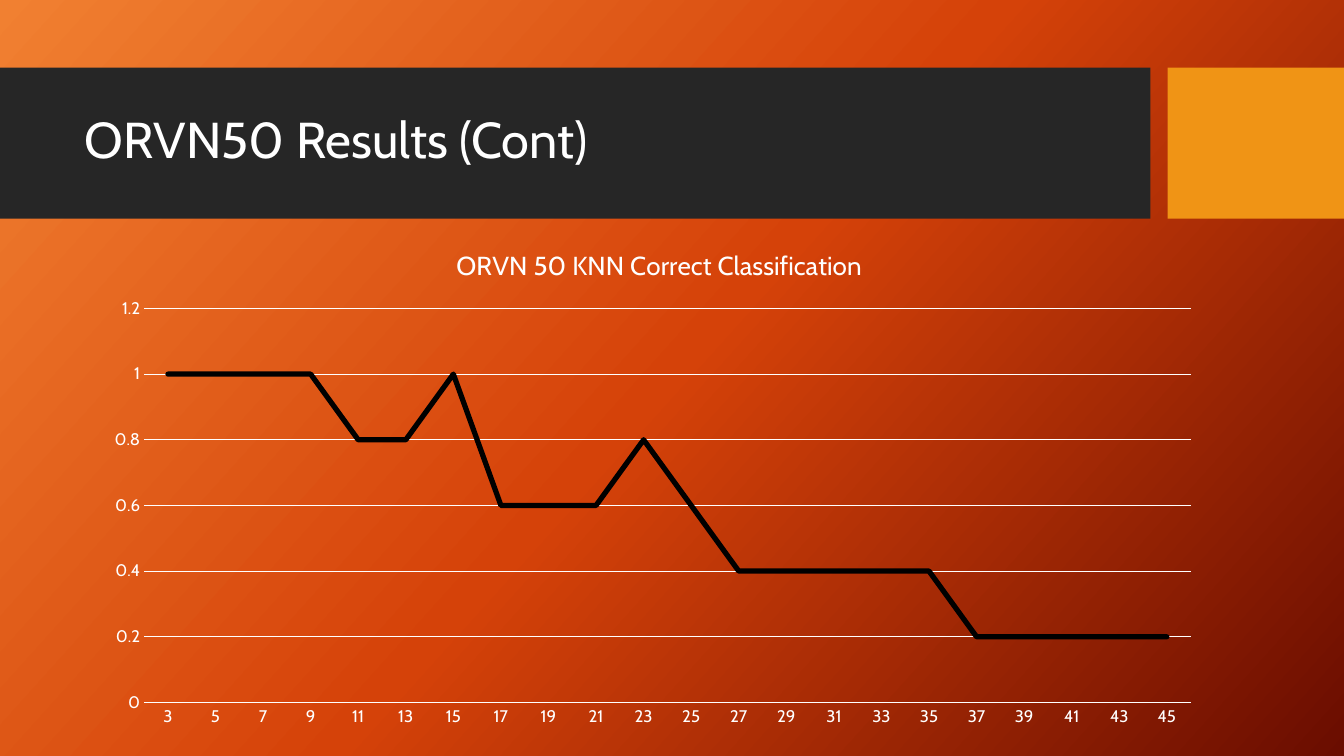
from copy import deepcopy

from lxml.etree import SubElement
from pptx import Presentation
from pptx.chart.data import CategoryChartData
from pptx.dml.color import RGBColor
from pptx.enum.chart import XL_CHART_TYPE, XL_MARKER_STYLE, XL_TICK_MARK
from pptx.enum.shapes import MSO_SHAPE
from pptx.enum.text import MSO_ANCHOR, PP_ALIGN
from pptx.oxml.ns import qn
from pptx.util import Inches, Pt

COLORS = {
    "glow": "F18031",
    "ember": "D54209",
    "dusk": "6A0D00",
    "band": "262626",
    "accent": "F09415",
    "text": "FFFFFF",
    "curve": "000000",
}
FONT = "Cabin"
BAND_TOP, BAND_HEIGHT = 0.67, 1.5
CHART_LEFT, CHART_TOP, CHART_WIDTH, CHART_HEIGHT = 0.92, 2.24, 11.12, 5.07
NEIGHBOURS = range(3, 46, 2)
ACCURACY = [1] * 4 + [0.8] * 2 + [1] + [0.6] * 3 + [0.8, 0.6] + [0.4] * 5 + [0.2] * 5


def rgb(name):
    return RGBColor.from_string(COLORS[name])


def box(left, top, width, height):
    return [Inches(length) for length in (left, top, width, height)]


def style_font(font, size):
    font.name = FONT
    font.size = Pt(size)
    font.bold = False
    font.color.rgb = rgb("text")


def style_line(line, color, width):
    line.color.rgb = rgb(color)
    line.width = Pt(width)


def paint_background(slide):
    fill = slide.background.fill
    fill.gradient()
    fill.gradient_angle = 360 - 42
    stop_list = slide.element.find(".//" + qn("a:gsLst"))
    stop_list.append(deepcopy(stop_list[0]))
    stops = zip(fill.gradient_stops, (0, 0.5, 1), ("glow", "ember", "dusk"))
    for stop, position, color in stops:
        stop.position = position
        stop.color.rgb = rgb(color)


def add_band(slide, left, width, color):
    band = slide.shapes.add_shape(
        MSO_SHAPE.RECTANGLE, *box(left, BAND_TOP, width, BAND_HEIGHT))
    band.shadow.inherit = False
    band.fill.solid()
    band.fill.fore_color.rgb = rgb(color)
    band.line.fill.background()
    slide.shapes.element.insert(2, band.element)


def set_title(slide, words):
    title = slide.shapes.title
    title.left, title.top, title.width, title.height = box(0.74, 0.82, 10.51, 1.18)
    frame = title.text_frame
    frame.text = words
    frame.vertical_anchor = MSO_ANCHOR.MIDDLE
    heading = frame.paragraphs[0]
    heading.alignment = PP_ALIGN.LEFT
    heading.line_spacing = 0.9
    style_font(heading.runs[0].font, 36)


def place_in_chart(part, index, left, top, width=None, height=None):
    for old in part.findall(qn("c:layout")):
        part.remove(old)
    layout = part.makeelement(qn("c:layout"))
    part.insert(index, layout)
    manual = SubElement(layout, qn("c:manualLayout"))
    if width:
        SubElement(manual, qn("c:layoutTarget")).set("val", "inner")
    for mode in ("xMode", "yMode"):
        SubElement(manual, qn(f"c:{mode}")).set("val", "edge")
    shares = {
        "x": (left - CHART_LEFT) / CHART_WIDTH,
        "y": (top - CHART_TOP) / CHART_HEIGHT,
    }
    if width:
        shares |= {"w": width / CHART_WIDTH, "h": height / CHART_HEIGHT}
    for side, share in shares.items():
        SubElement(manual, qn(f"c:{side}")).set("val", str(share))


def style_axis(axis):
    axis.major_tick_mark = XL_TICK_MARK.NONE
    axis.minor_tick_mark = XL_TICK_MARK.NONE
    style_font(axis.tick_labels.font, 12)


def add_accuracy_chart(slide, words):
    data = CategoryChartData()
    data.categories = [str(count) for count in NEIGHBOURS]
    data.add_series("Series 1", ACCURACY)
    chart = slide.shapes.add_chart(
        XL_CHART_TYPE.LINE,
        *box(CHART_LEFT, CHART_TOP, CHART_WIDTH, CHART_HEIGHT), data).chart
    chart.has_legend = False
    style_font(chart.font, 10)

    caption = chart.chart_title
    caption.text_frame.text = words
    style_font(caption.text_frame.paragraphs[0].runs[0].font, 18.6)
    caption.include_in_layout = False
    place_in_chart(chart.element.find(".//" + qn("c:title")), 1, 4.48, 2.41)
    place_in_chart(chart.element.find(".//" + qn("c:plotArea")), 0,
                   1.43, 3.06, 10.38, 3.91)

    style_axis(chart.category_axis)
    style_line(chart.category_axis.format.line, "text", 0.75)
    accuracy_axis = chart.value_axis
    style_axis(accuracy_axis)
    accuracy_axis.format.line.fill.background()
    accuracy_axis.minimum_scale = 0
    accuracy_axis.maximum_scale = 1.2
    accuracy_axis.major_unit = 0.2
    accuracy_axis.has_major_gridlines = True
    style_line(accuracy_axis.major_gridlines.format.line, "text", 0.75)

    chart.plots[0].vary_by_categories = False
    curve = chart.plots[0].series[0]
    curve.smooth = False
    curve.marker.style = XL_MARKER_STYLE.NONE
    style_line(curve.format.line, "curve", 3.75)
    stroke = chart.element.find(
        ".//" + "/".join(qn(tag) for tag in ("c:ser", "c:spPr", "a:ln")))
    stroke.set("cap", "rnd")
    SubElement(stroke, qn("a:round"))


def main():
    deck = Presentation()
    deck.slide_width, deck.slide_height = Inches(13.33), Inches(7.5)
    slide = deck.slides.add_slide(deck.slide_layouts[5])
    paint_background(slide)
    add_band(slide, 0, 11.41, "band")
    add_band(slide, 11.58, 1.75, "accent")
    set_title(slide, "ORVN50 Results (Cont)")
    add_accuracy_chart(slide, "ORVN 50 KNN Correct Classification")
    deck.save("out.pptx")


if __name__ == "__main__":
    main()
